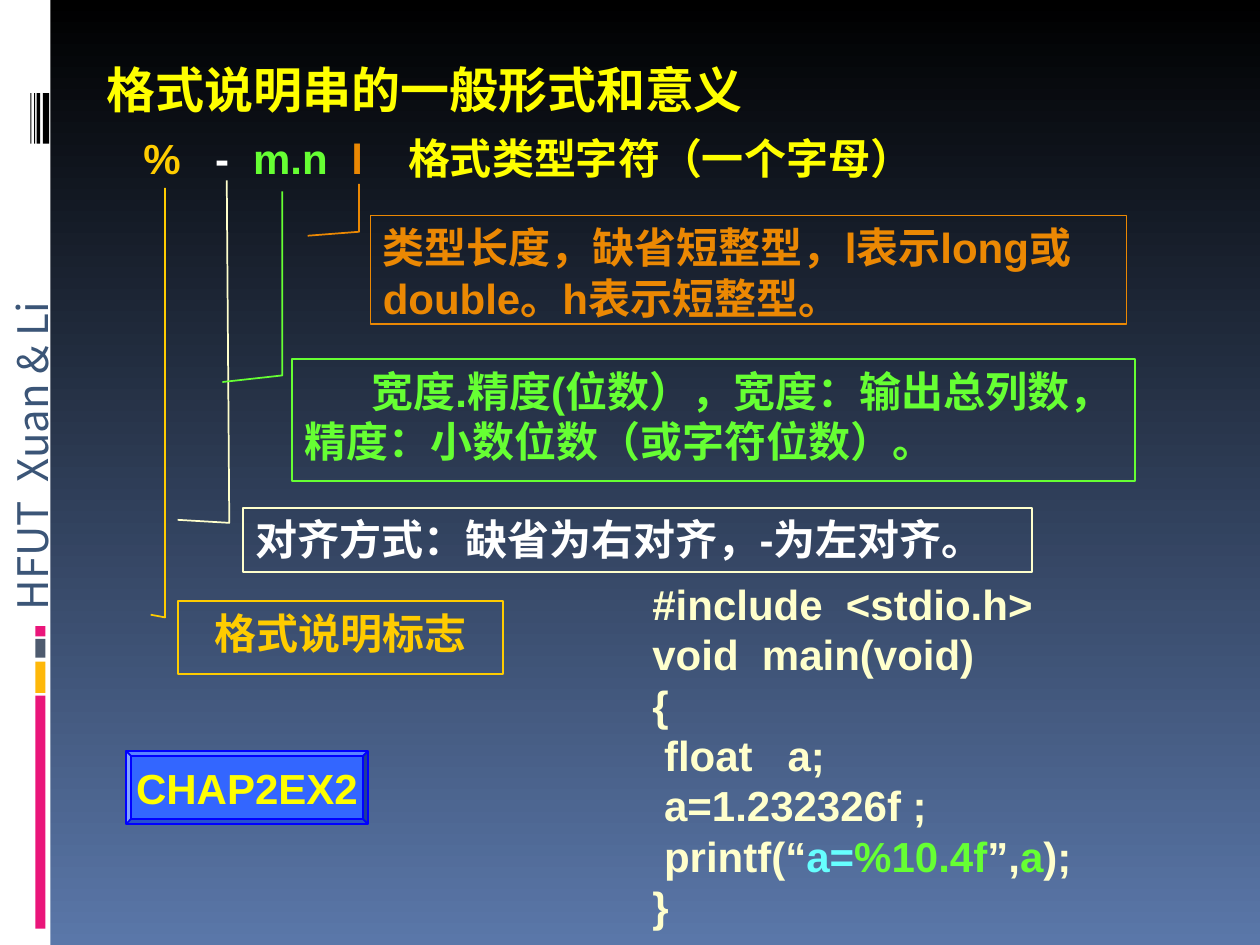
from lxml import etree
from pptx import Presentation
from pptx.dml.color import RGBColor
from pptx.enum.shapes import MSO_SHAPE as Shape
from pptx.enum.text import MSO_ANCHOR as Anchor, PP_ALIGN as Align
from pptx.oxml.ns import qn
from pptx.util import Inches, Pt

COLORS = {
    "black": "000000", "white": "FFFFFF", "sky": "5A77A9", "pink": "EA157A",
    "amber": "FEB80A", "slate": "4E5B6F", "navy": "3B5577", "yellow": "FFFF00",
    "gold": "FFCC00", "green": "66FF33", "orange": "EB8803", "cream": "FFFFCC",
    "cyan": "66FFFF", "button": "3366FF", "blue": "0000FF",
}
LATIN, CJK, TITLE_FONT = "Arial", "Noto Sans CJK SC", "Noto Sans CJK JP"

SIDEBAR = [
    (0, 0, 0.4, 7.5, "white"),
    (0.28, 5.52, 0.08, 1.85, "pink"),
    (0.28, 5.25, 0.08, 0.25, "amber"),
    (0.28, 5.07, 0.08, 0.15, "slate"),
    (0.28, 4.97, 0.08, 0.08, "pink"),
]
BARCODE = [(0.34, 0.05), (0.29, 0.03), (0.27, 0.01), (0.24, 0.01)]

TITLE = [[("格式说明串的一般形式和意义", "yellow")]]
FORMULA = [[("%", "gold"), ("\t-", "white"), ("\tm.n", "green"), ("\tl", "orange"),
            ("\t格式类型字符（一个字母）", "yellow")]]
FORMULA_TABS = [0.57, 0.87, 1.65, 2.1]
CODE = [
    [("#include  <stdio.h>", "cream")],
    [("void  main(void)", "cream")],
    [("{", "cream")],
    [(" float   a;", "cream")],
    [(" a=1.232326f ;", "cream")],
    [(" printf(“", "cream"), ("a=", "cyan"), ("%10.4f", "green"), ("”,", "cream"),
     ("a", "green"), (");", "cream")],
    [("}", "cream")],
]

# Each callout: place, text, text colour, border colour, bend, tip, alignment, first-line indent
CALLOUTS = [
    ((1.41, 4.77, 2.58, 0.58), "格式说明标志", "gold", "gold",
     (1.31, 4.9), (1.31, 1.49), Align.CENTER, 0),
    ((1.93, 4.03, 6.26, 0.51), "对齐方式：缺省为右对齐，-为左对齐。", "white", "cream",
     (1.82, 4.15), (1.8, 1.43), Align.LEFT, 0),
    ((2.32, 2.85, 6.69, 0.97),
     "宽度.精度(位数），宽度：输出总列数，精度：小数位数（或字符位数）。", "green", "green",
     (2.24, 2.98), (2.24, 1.52), Align.LEFT, 0.53),
    ((2.94, 1.71, 6, 0.86), "类型长度，缺省短整型，l表示long或double。h表示短整型。",
     "orange", "orange", (2.85, 1.84), (2.85, 1.46), Align.LEFT, 0),
]


def rgb(name):
    return RGBColor.from_string(COLORS[name])


def write(box, lines, size=24, latin=LATIN, east=CJK, bold=True, align=Align.LEFT,
          anchor=Anchor.TOP, wrap=True, indent=0, tabs=()):
    frame = box.text_frame
    frame.word_wrap = wrap
    frame.vertical_anchor = anchor
    for number, line in enumerate(lines):
        para = frame.add_paragraph() if number else frame.paragraphs[0]
        para.alignment = align
        para.line_spacing = Pt(size * 1.2)
        properties = para._p.get_or_add_pPr()
        properties.set("hangingPunct", "0")
        if indent:
            properties.set("indent", str(Inches(indent)))
        if tabs:
            tab_list = etree.SubElement(properties, qn("a:tabLst"))
            for stop in tabs:
                etree.SubElement(tab_list, qn("a:tab"), pos=str(Inches(stop)), algn="l")
        for text, color in line:
            span = para.add_run()
            span.text = text
            span.font.size = Pt(size)
            span.font.bold = bold
            span.font.name = latin
            span.font.color.rgb = rgb(color)
            etree.SubElement(span._r.get_or_add_rPr(), qn("a:ea"), typeface=east)


def add_text(slide, place, lines, **style):
    box = slide.shapes.add_textbox(*map(Inches, place))
    write(box, lines, **style)
    return box


def add_block(slide, kind, place, fill=None, line=None):
    block = slide.shapes.add_shape(kind, *map(Inches, place))
    block.shadow.inherit = False
    if fill:
        block.fill.solid()
        block.fill.fore_color.rgb = rgb(fill)
    else:
        block.fill.background()
    if line:
        block.line.color.rgb = rgb(line)
        block.line.width = Pt(1)
    else:
        block.line.fill.background()
    return block


def add_callout(slide, place, text, color, border, bend, tip, align, indent):
    left, top, width, height = place
    box = add_block(slide, Shape.LINE_CALLOUT_2, place, line=border)
    box.adjustments[0], box.adjustments[1] = 0.188, -0.083
    for index, (x, y) in enumerate((bend, tip), start=1):
        box.adjustments[2 * index] = (y - top) / height
        box.adjustments[2 * index + 1] = (x - left) / width
    write(box, [[(text, color)]], align=align, indent=indent)


def main():
    deck = Presentation()
    deck.slide_width, deck.slide_height = Inches(10), Inches(7.5)
    slide = deck.slides.add_slide(deck.slide_layouts[6])

    backdrop = slide.background.fill
    backdrop.gradient()
    backdrop.gradient_angle = 270
    for stop, color in zip(backdrop.gradient_stops, ("black", "sky")):
        stop.color.rgb = rgb(color)

    for *place, color in SIDEBAR:
        add_block(slide, Shape.RECTANGLE, place, color)
    for left, width in BARCODE:
        add_block(slide, Shape.RECTANGLE, (left, 0.74, width, 0.4), "black")
    label = add_text(slide, (-1.12, 3.32, 2.74, 0.5), [[("HFUT  Xuan & Li", "navy")]],
                     latin=CJK, bold=False, wrap=False)
    label.rotation = 270

    add_text(slide, (0.75, 0.42, 8.5, 0.67), TITLE, size=28, latin=TITLE_FONT,
             east=TITLE_FONT)
    add_text(slide, (1.04, 1, 6.3, 0.5), FORMULA, tabs=FORMULA_TABS)
    for callout in CALLOUTS:
        add_callout(slide, *callout)
    add_text(slide, (5.08, 4.54, 3.9, 2.9), CODE)

    button = add_block(slide, Shape.BEVEL, (1, 5.96, 1.92, 0.58), "button", "blue")
    button.adjustments[0] = 0.07
    write(button, [[("CHAP2EX2", "yellow")]], align=Align.CENTER,
          anchor=Anchor.MIDDLE, wrap=False)

    deck.save("out.pptx")


if __name__ == "__main__":
    main()
